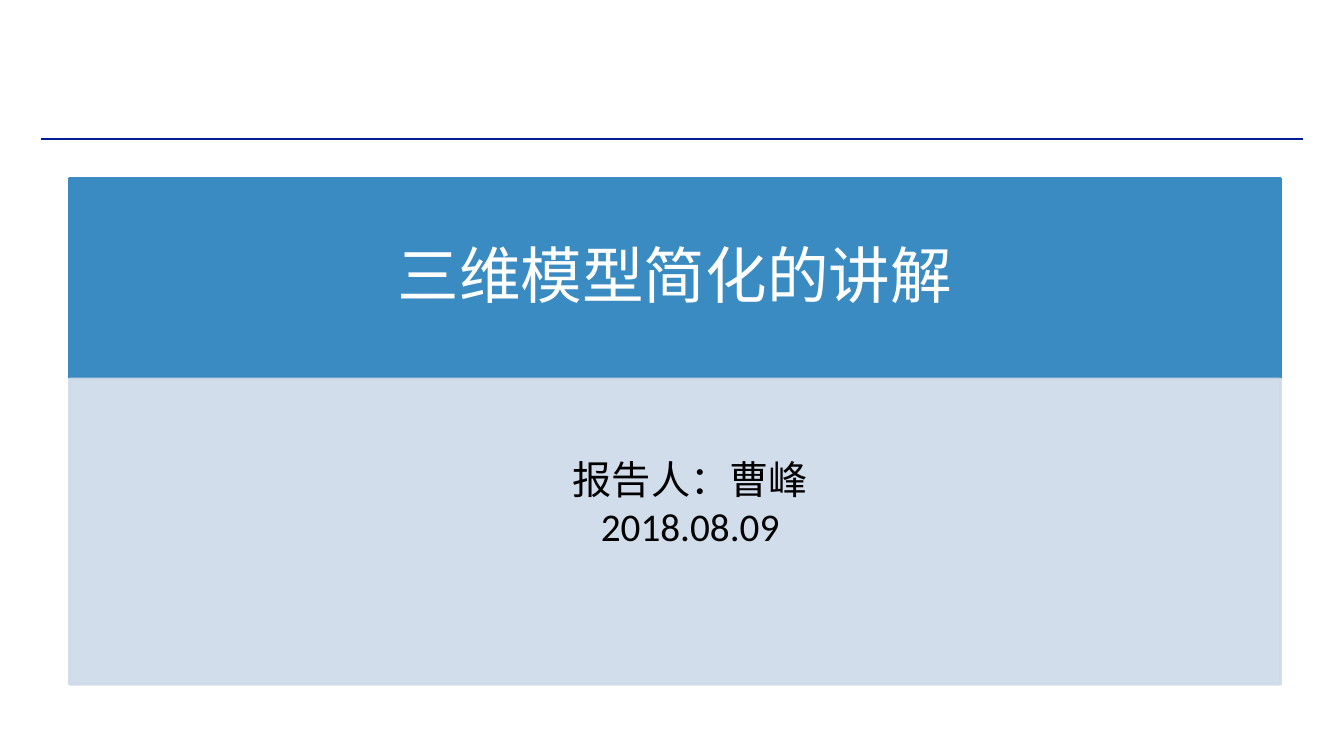
from dataclasses import dataclass

from lxml import etree
from pptx import Presentation
from pptx import util as u
from pptx.dml.color import RGBColor
from pptx.enum import shapes, text
from pptx.oxml.ns import qn

EMU_PER_PX = 9144  # 100 px to the inch


@dataclass(frozen=True)
class Theme:
    font: str = "Calibri"
    rule: str = "011C96"
    banner: str = "3A8BC1"
    panel: str = "CEDAE9"
    title_color: str = "FFFFFF"
    body_color: str = "000000"
    title_size: int = 44
    body_size: int = 28
    rule_width: float = 1.5
    edge_width: int = 2


def px(*lengths):
    return [u.Emu(n * EMU_PER_PX) for n in lengths]


class Deck:
    def __init__(self, theme, width, height):
        self.theme = theme
        self.prs = Presentation()
        self.prs.slide_width, self.prs.slide_height = px(width, height)
        self.s = self.prs.slides.add_slide(self.prs.slide_layouts[5])

    def paint(self, sp, color, opacity=100):
        """Give fill and outline one colour, opacity in percent."""
        sp.fill.solid()
        sp.line.fill.solid()
        sp.line.width = u.Pt(self.theme.edge_width)
        for fill in (sp.fill, sp.line.fill):
            fill.fore_color.rgb = RGBColor.from_string(color)
        if opacity < 100:
            for clr in sp._element.spPr.iter(qn("a:srgbClr")):
                etree.SubElement(clr, qn("a:alpha"), val=str(opacity * 1000))

    def set_lines(self, tf, lines, size, color, margins):
        tf.word_wrap = True
        tf.auto_size = text.MSO_AUTO_SIZE.NONE
        tf.margin_left, tf.margin_top = px(*margins)
        tf.margin_right, tf.margin_bottom = px(*margins)
        tf.text = "\n".join(lines)
        for p in tf.paragraphs:
            p.alignment = text.PP_ALIGN.CENTER
            for r in p.runs:
                r.font.name = self.theme.font
                r.font.size = u.Pt(size)
                r.font.color.rgb = RGBColor.from_string(color)

    def title(self, wording, box):
        sp = self.s.shapes.title
        sp.left, sp.top, sp.width, sp.height = px(*box)
        self.paint(sp, self.theme.banner)
        tf = sp.text_frame
        self.set_lines(tf, [wording], self.theme.title_size,
                       self.theme.title_color, (34, 20))
        tf.vertical_anchor = text.MSO_ANCHOR.MIDDLE
        tf.paragraphs[0].line_spacing = 0.9

    def rule(self, x1, x2, y):
        line = self.s.shapes.add_connector(
            shapes.MSO_CONNECTOR.STRAIGHT, *px(x1, y, x2, y))
        line.line.color.rgb = RGBColor.from_string(self.theme.rule)
        line.line.width = u.Pt(self.theme.rule_width)
        etree.SubElement(line._element.spPr, qn("a:effectLst"))

    def panel(self, box, opacity):
        sp = self.s.shapes.add_shape(shapes.MSO_SHAPE.RECTANGLE, *px(*box))
        sp.shadow.inherit = False
        self.paint(sp, self.theme.panel, opacity)

    def text(self, lines, box):
        tf = self.s.shapes.add_textbox(*px(*box)).text_frame
        self.set_lines(tf, lines, self.theme.body_size,
                       self.theme.body_color, (5, 5))


def main():
    deck = Deck(Theme(), 1333, 750)
    left, width = 69, 1201
    deck.rule(41, 1292, 138)
    deck.title("三维模型简化的讲解", (left, 177, width, 198))
    deck.panel((left, 376, width, 303), opacity=90)
    deck.text(["报告人：曹峰", "2018.08.09"], (467, 447, 435, 104))
    deck.prs.save("out.pptx")


if __name__ == "__main__":
    main()
